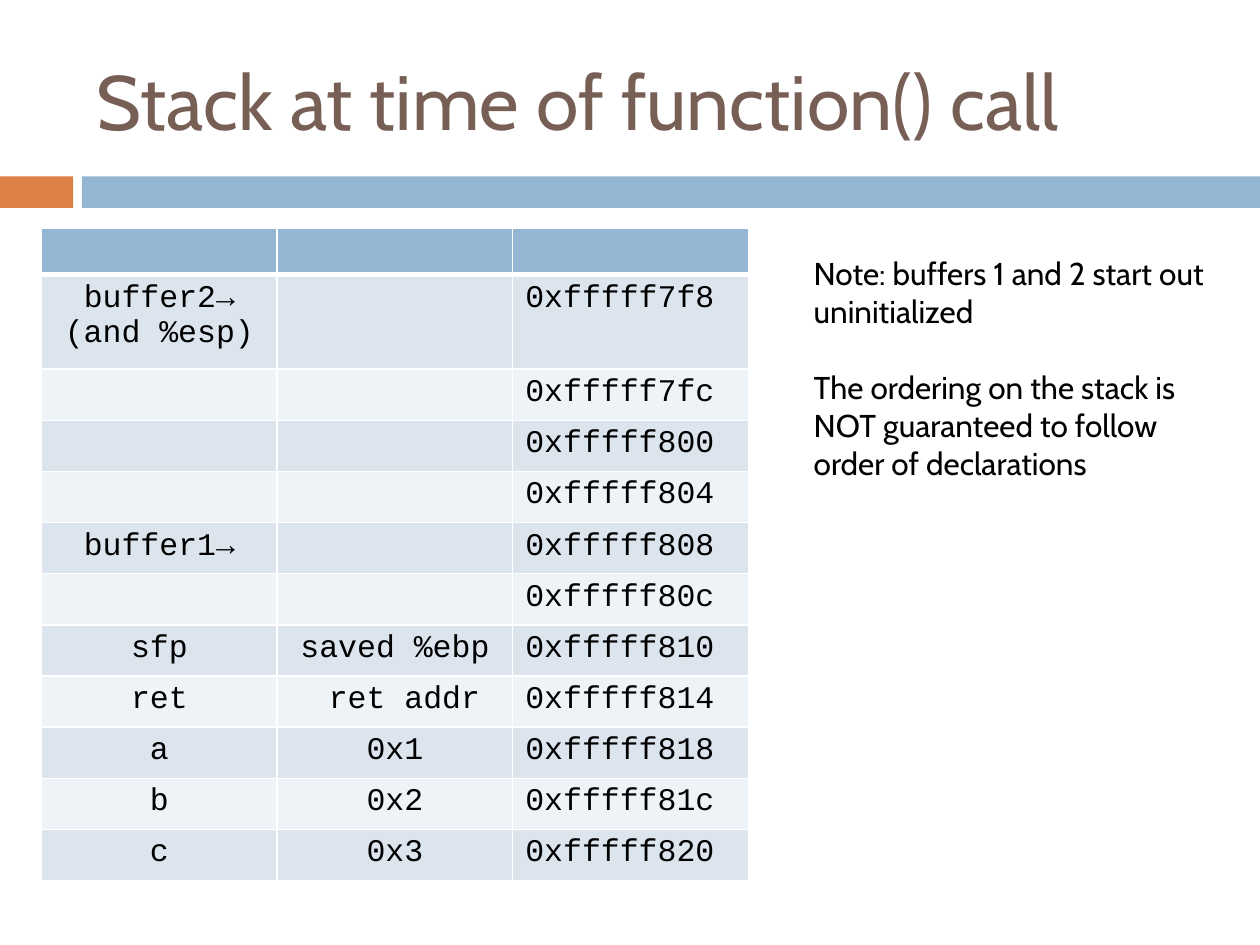
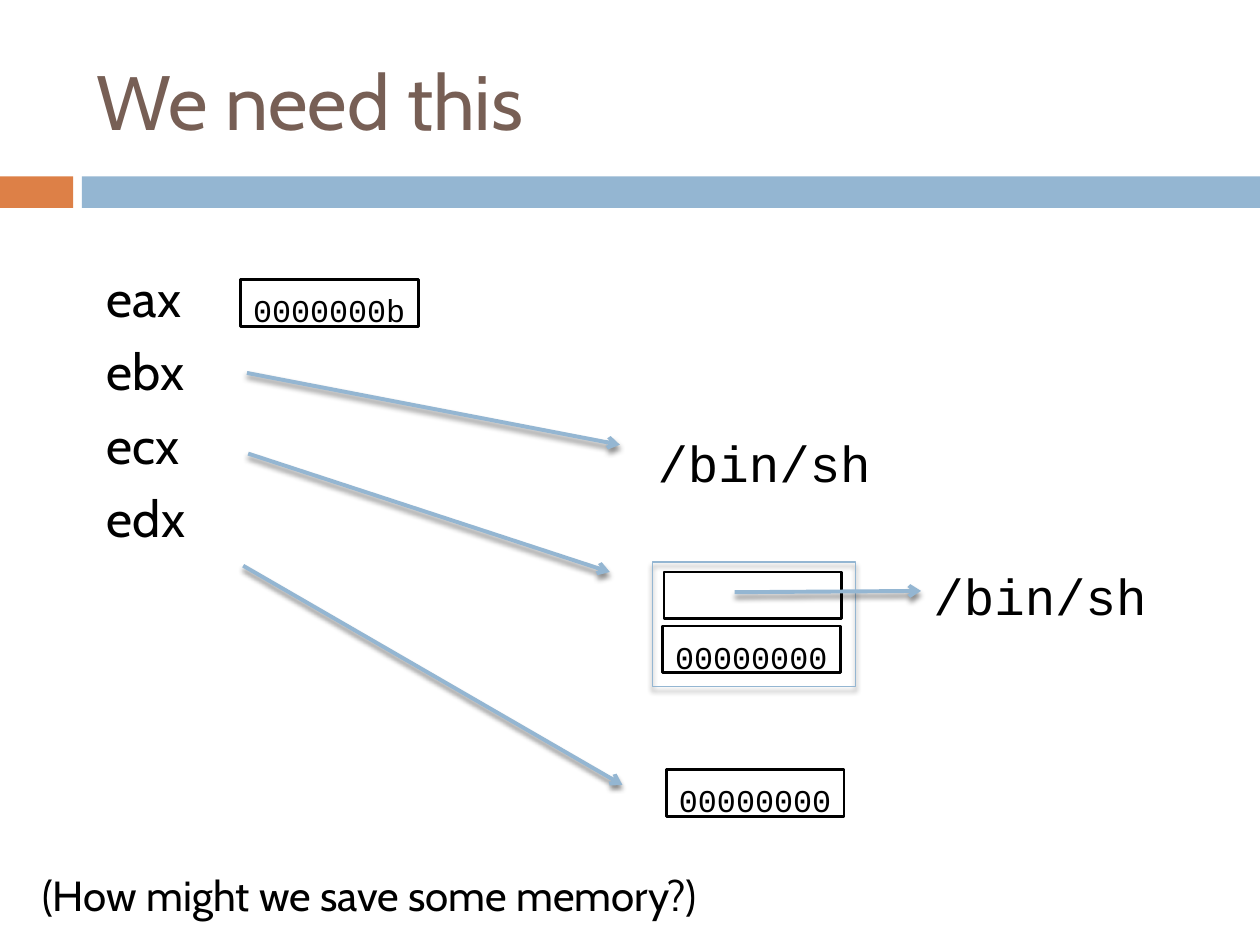
from dataclasses import dataclass

from lxml.etree import SubElement
from pptx import Presentation
from pptx.dml.color import RGBColor
from pptx.enum.shapes import MSO_CONNECTOR, MSO_SHAPE
from pptx.enum.text import MSO_ANCHOR, PP_ALIGN
from pptx.oxml.ns import qn
from pptx.util import Inches, Pt

COLUMNS, ROWS = 100, 75
WIDTH, HEIGHT = Inches(10), Inches(7.5)
BLUE, ORANGE, BROWN = "94B6D2", "DD8047", "775F55"
BLACK, WHITE = "000000", "FFFFFF"
STRIPES = ("DCE5EE", "EEF3F7")
SANS, MONO = "Cabin", "Courier New"
REGISTER_WIDTH, REGISTER_HEIGHT = 14.1, 3.7

STACK = [
    ("buffer2→\n(and %esp)", "", "0xfffff7f8"),
    ("", "", "0xfffff7fc"),
    ("", "", "0xfffff800"),
    ("", "", "0xfffff804"),
    ("buffer1→", "", "0xfffff808"),
    ("", "", "0xfffff80c"),
    ("sfp", "saved %ebp", "0xfffff810"),
    ("ret", " ret addr", "0xfffff814"),
    ("a", "0x1", "0xfffff818"),
    ("b", "0x2", "0xfffff81c"),
    ("c", "0x3", "0xfffff820"),
]


@dataclass(frozen=True)
class Box:
    """An area measured in grid columns and rows."""

    left: float
    top: float
    width: float
    height: float

    def inside(self, left, top, width, height):
        """Return an area offset from the corner of this one."""
        return Box(self.left + left, self.top + top, width, height)

    def frame(self):
        """Return left, top, width and height as slide lengths."""
        return (across(self.left), down(self.top),
                across(self.width), down(self.height))


def across(columns):
    """Turn grid columns into a slide length."""
    return round(WIDTH * columns / COLUMNS)


def down(rows):
    """Turn grid rows into a slide length."""
    return round(HEIGHT * rows / ROWS)


def colour(value):
    """Turn a hex string into a colour."""
    return RGBColor.from_string(value)


def write(frame, text, font=SANS, size=18, ink=BLACK, align=PP_ALIGN.LEFT,
          before=0, anchor=None):
    """Fill a text frame with one paragraph per line of text."""
    frame.word_wrap = True
    if anchor is not None:
        frame.vertical_anchor = anchor
    for index, line in enumerate(text.split("\n")):
        para = frame.add_paragraph() if index else frame.paragraphs[0]
        para.alignment = align
        para.space_before = Pt(before if index else 0)
        span = para.add_run()
        span.text = line
        span.font.name = font
        span.font.size = Pt(size)
        span.font.color.rgb = colour(ink)


def add_text(page, box, text, **style):
    """Place a text box."""
    write(page.shapes.add_textbox(*box.frame()).text_frame, text, **style)


def add_rectangle(page, box, fill=None, line=None, weight=1.5):
    """Place a plain rectangle."""
    shape = page.shapes.add_shape(MSO_SHAPE.RECTANGLE, *box.frame())
    shape.shadow.inherit = False
    if fill:
        shape.fill.solid()
        shape.fill.fore_color.rgb = colour(fill)
    else:
        shape.fill.background()
    if line:
        shape.line.color.rgb = colour(line)
        shape.line.width = Pt(weight)
    else:
        shape.line.fill.background()
    return shape


def add_shadow(shape):
    """Give a shape a soft shadow straight below it."""
    properties = shape._element.spPr
    for old in properties.findall(qn("a:effectLst")):
        properties.remove(old)
    effects = SubElement(properties, qn("a:effectLst"))
    shadow = SubElement(effects, qn("a:outerShdw"), blurRad=str(Pt(3)),
                        dist=str(Pt(2.4)), dir="5400000", rotWithShape="0")
    ink = SubElement(shadow, qn("a:srgbClr"), val=BLACK)
    SubElement(ink, qn("a:alpha"), val="45000")


def add_arrow(page, box, start, end):
    """Draw a pointer between two grid points of a box."""
    (from_left, from_top), (to_left, to_top) = start, end
    arrow = page.shapes.add_connector(
        MSO_CONNECTOR.STRAIGHT,
        across(box.left + from_left), down(box.top + from_top),
        across(box.left + to_left), down(box.top + to_top))
    arrow.line.color.rgb = colour(BLUE)
    arrow.line.width = Pt(2.25)
    SubElement(arrow.line._get_or_add_ln(), qn("a:tailEnd"), type="arrow")
    add_shadow(arrow)


def add_register(page, box, left, top, value=""):
    """Draw one memory word, with its value if it has one."""
    area = box.inside(left, top, REGISTER_WIDTH, REGISTER_HEIGHT)
    shape = add_rectangle(page, area, WHITE, BLACK)
    if value:
        frame = shape.text_frame
        frame.margin_top, frame.margin_bottom = down(0.9), 0
        write(frame, value, font=MONO, size=18.1, anchor=MSO_ANCHOR.TOP)


def add_borders(cell, bottom):
    """Draw white lines around a table cell."""
    properties = cell._tc.get_or_add_tcPr()
    for side, weight in (("L", 1), ("R", 1), ("T", 1), ("B", bottom)):
        line = SubElement(properties, qn(f"a:ln{side}"), w=str(Pt(weight)))
        fill = SubElement(line, qn("a:solidFill"))
        SubElement(fill, qn("a:srgbClr"), val=WHITE)


def add_stack_table(page, box):
    """Draw the stack as a striped table under a blank header."""
    rows = [("", "", "")] + STACK
    table = page.shapes.add_table(len(rows), 3, *box.frame()).table
    for column in table.columns:
        column.width = across(box.width / 3)
    heights = [3.7, 7.5] + [4.06] * (len(STACK) - 1)
    for row, (texts, height) in enumerate(zip(rows, heights)):
        table.rows[row].height = down(height)
        for column, text in enumerate(texts):
            cell = table.cell(row, column)
            add_borders(cell, 1 if row else 3)
            cell.fill.solid()
            cell.fill.fore_color.rgb = colour(
                STRIPES[(row - 1) % 2] if row else BLUE)
            if row == 0:
                cell.margin_top = cell.margin_bottom = 0
            if text:
                write(cell.text_frame, text, font=MONO,
                      align=PP_ALIGN.LEFT if column == 2 else PP_ALIGN.CENTER)


def add_pointer_diagram(page, box):
    """Draw the registers and the memory they point to."""
    add_text(page, box.inside(7.5, 4.2, 12.9, 25.2), "eax\nebx\necx\nedx",
             size=29, before=7)
    for left, top in ((51.2, 17.3), (73.1, 27.8)):
        add_text(page, box.inside(left, top, 22.8, 6), "/bin/sh",
                 font=MONO, size=29)
    array = add_rectangle(page, box.inside(51.8, 28.1, 16.1, 9.9),
                          line=BLUE, weight=0.79)
    add_shadow(array)
    add_register(page, box, 52.6, 33.2, "00000000")
    add_register(page, box, 52.7, 28.9)
    add_register(page, box, 52.9, 44.6, "00000000")
    add_register(page, box, 19.1, 5.7, "0000000b")
    for start, end in (((19.6, 13.1), (49.2, 18.8)),
                       ((19.7, 19.5), (48.4, 28.9)),
                       ((19.3, 28.4), (49.4, 45.8)),
                       ((58.3, 30.5), (73.1, 30.4))):
        add_arrow(page, box, start, end)
    add_text(page, box.inside(2.4, 52, 55, 5),
             "(How might we save some memory?)", size=24)


def add_page(deck, title):
    """Add a page with the shared bands and title."""
    page = deck.slides.add_slide(deck.slide_layouts[6])
    add_rectangle(page, Box(0, 14, 5.8, 2.5), ORANGE)
    add_rectangle(page, Box(6.5, 14, 93.5, 2.5), BLUE)
    add_text(page, Box(6.7, 2.5, 89.2, 10.8), title, size=44, ink=BROWN,
             anchor=MSO_ANCHOR.MIDDLE)
    return page


def main():
    """Build the deck and save it."""
    deck = Presentation()
    deck.slide_width, deck.slide_height = WIDTH, HEIGHT

    page = add_page(deck, "Stack at time of function() call")
    add_stack_table(page, Box(3.3, 18.1, 56.1, 52))
    add_text(page, Box(63.6, 19.7, 33, 19.2),
             "Note: buffers 1 and 2 start out uninitialized\n"
             "The ordering on the stack is NOT guaranteed to follow "
             "order of declarations", before=21.7)

    page = add_page(deck, "We need this")
    add_pointer_diagram(page, Box(0, 16.5, COLUMNS, ROWS - 16.5))

    deck.save("out.pptx")


main()
